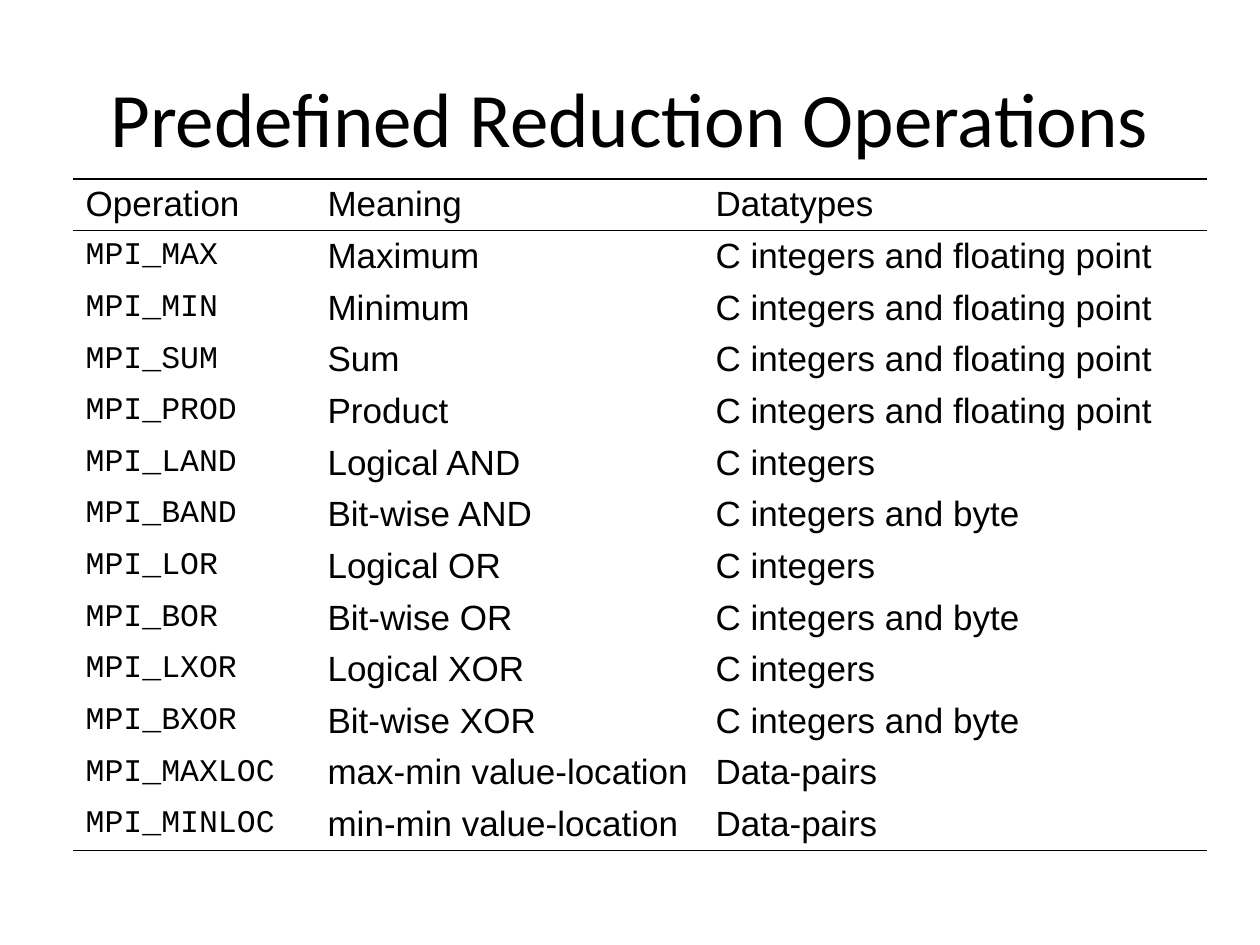
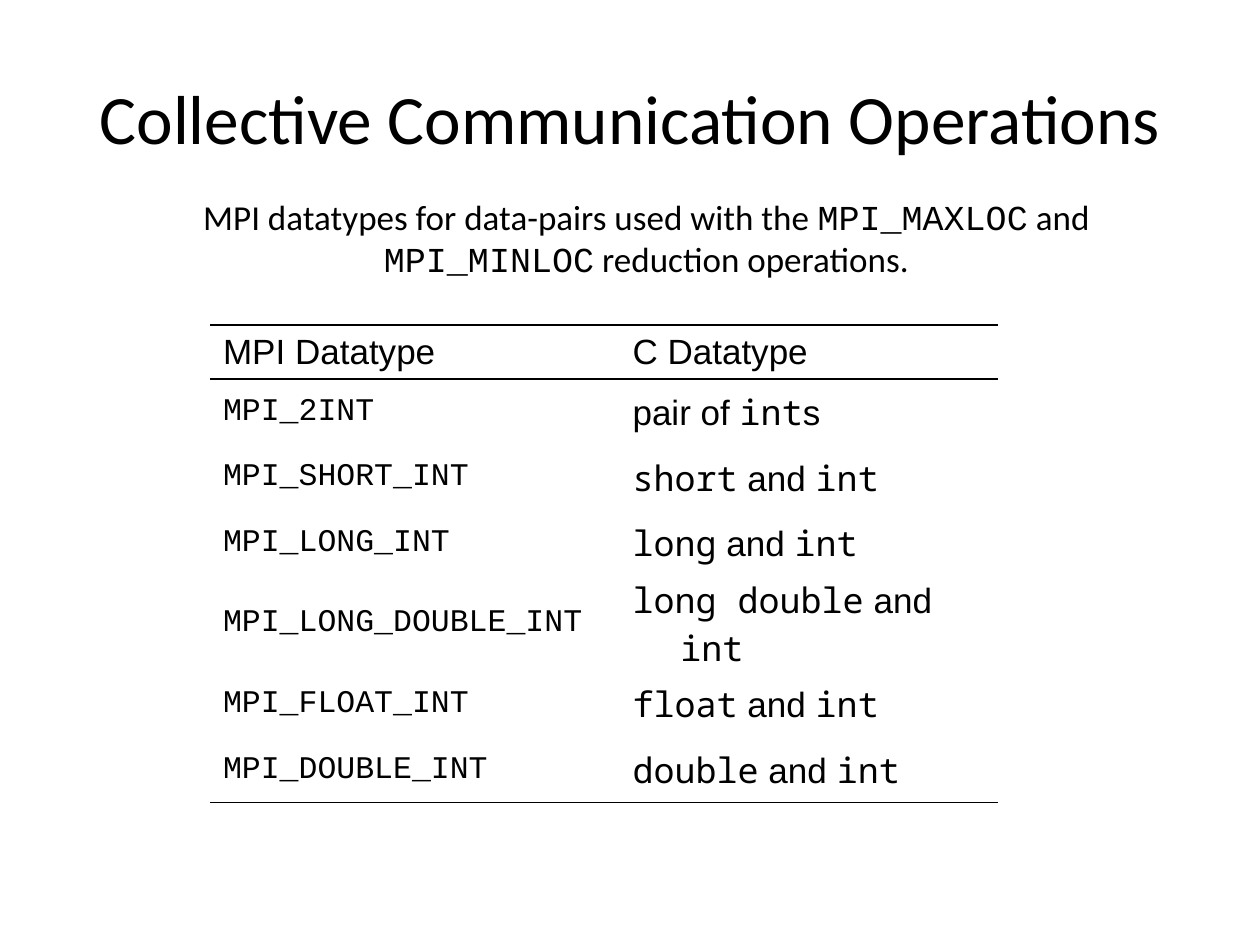
from lxml import etree
from pptx import Presentation
from pptx.dml.color import RGBColor
from pptx.enum.text import MSO_ANCHOR, PP_ALIGN
from pptx.oxml.ns import qn
from pptx.util import Inches, Pt

CENTER, LEFT = PP_ALIGN.CENTER, PP_ALIGN.LEFT
MIDDLE, TOP = MSO_ANCHOR.MIDDLE, MSO_ANCHOR.TOP
COLORS = {"text": "000000", "rule": "000000"}
HANGING = Inches(0.38)


def write(frame, text, font="Arial", code_font="Courier New", size=20,
          align=LEFT, anchor=MIDDLE, hanging=False):
    """Fill a text frame; parts between backticks take the code font."""
    frame.word_wrap = True
    frame.vertical_anchor = anchor
    paragraph = frame.paragraphs[0]
    paragraph.alignment = align
    if hanging:
        properties = paragraph._p.get_or_add_pPr()
        properties.set("marL", str(HANGING))
        properties.set("indent", str(-HANGING))
    for index, part in enumerate(text.split("`")):
        if part:
            run = paragraph.add_run()
            run.text = part
            run.font.name = code_font if index % 2 else font
            run.font.size = Pt(size)
            run.font.bold = False
            run.font.color.rgb = RGBColor.from_string(COLORS["text"])


def add_ruled_table(slide, left, top, column_widths, row_heights, rows):
    """Add a table ruled above and below its header and below its last row."""
    table = slide.shapes.add_table(
        len(rows), len(column_widths), Inches(left), Inches(top),
        Inches(sum(column_widths)), Inches(sum(row_heights))).table
    table.first_row = table.horz_banding = False
    for column, width in zip(table.columns, column_widths):
        column.width = Inches(width)
    for r, (row, height) in enumerate(zip(rows, row_heights)):
        table.rows[r].height = Inches(height)
        ruled_sides = {"lnT": r in (0, 1), "lnB": r in (0, len(rows) - 1)}
        for c, text in enumerate(row):
            cell = table.cell(r, c)
            cell.margin_top = cell.margin_bottom = 0
            is_name = r > 0 and c == 0
            write(cell.text_frame, text, hanging=True,
                  font="Courier New" if is_name else "Arial",
                  code_font="Noto Sans Mono", size=18 if is_name else 20)
            cell.vertical_anchor = MIDDLE
            properties = cell._tc.get_or_add_tcPr()
            for side in ("lnL", "lnR", "lnT", "lnB"):
                line = etree.SubElement(properties, qn(f"a:{side}"), w=str(Pt(1)))
                if ruled_sides.get(side):
                    fill = etree.SubElement(line, qn("a:solidFill"))
                    etree.SubElement(fill, qn("a:srgbClr"), val=COLORS["rule"])
                else:
                    etree.SubElement(line, qn("a:noFill"))
            cell.fill.background()


prs = Presentation()
prs.slide_width, prs.slide_height = Inches(10), Inches(7.5)

slides = []
for title, size in (("Predefined Reduction Operations", 44),
                    ("Collective Communication Operations", 39.6)):
    slide = prs.slides.add_slide(prs.slide_layouts[6])
    title_box = slide.shapes.add_textbox(Inches(0.5), Inches(0.3), Inches(9), Inches(1.25))
    write(title_box.text_frame, title, font="Calibri", size=size, align=CENTER)
    slides.append(slide)
reduction_slide, pairs_slide = slides

# Reduction operations
numeric = "C integers and floating point"
integers = "C integers"
with_byte = "C integers and byte"
pairs = "Data-pairs"
operations = [
    ("Operation", "Meaning", "Datatypes"),
    ("MPI_MAX", "Maximum", numeric),
    ("MPI_MIN", "Minimum", numeric),
    ("MPI_SUM", "Sum", numeric),
    ("MPI_PROD", "Product", numeric),
    ("MPI_LAND", "Logical AND", integers),
    ("MPI_BAND", "Bit-wise AND", with_byte),
    ("MPI_LOR", "Logical OR", integers),
    ("MPI_BOR", "Bit-wise OR", with_byte),
    ("MPI_LXOR", "Logical XOR", integers),
    ("MPI_BXOR", "Bit-wise XOR", with_byte),
    ("MPI_MAXLOC", "max-min value-location", pairs),
    ("MPI_MINLOC", "min-min value-location", pairs),
]
add_ruled_table(reduction_slide, 0.58, 1.42, [1.92, 3.08, 4],
                [0.41] * len(operations), operations)

# Data-pair types
intro_box = pairs_slide.shapes.add_textbox(Inches(1.42), Inches(1.5), Inches(7.42), Inches(0.77))
write(intro_box.text_frame,
      "MPI datatypes for data-pairs used with the `MPI_MAXLOC` and "
      "`MPI_MINLOC` reduction operations.",
      font="Calibri", align=CENTER, anchor=TOP)

pair_types = [
    ("MPI Datatype", "C Datatype"),
    ("MPI_2INT", "pair of `int`s"),
    ("MPI_SHORT_INT", "`short` and `int`"),
    ("MPI_LONG_INT", "`long` and `int`"),
    ("MPI_LONG_DOUBLE_INT", "`long double` and `int`"),
    ("MPI_FLOAT_INT", "`float` and `int`"),
    ("MPI_DOUBLE_INT", "`double` and `int`"),
]
add_ruled_table(pairs_slide, 1.67, 2.58, [3.25, 3],
                [0.43, 0.52, 0.52, 0.52, 0.76, 0.52, 0.52], pair_types)

prs.save("out.pptx")
